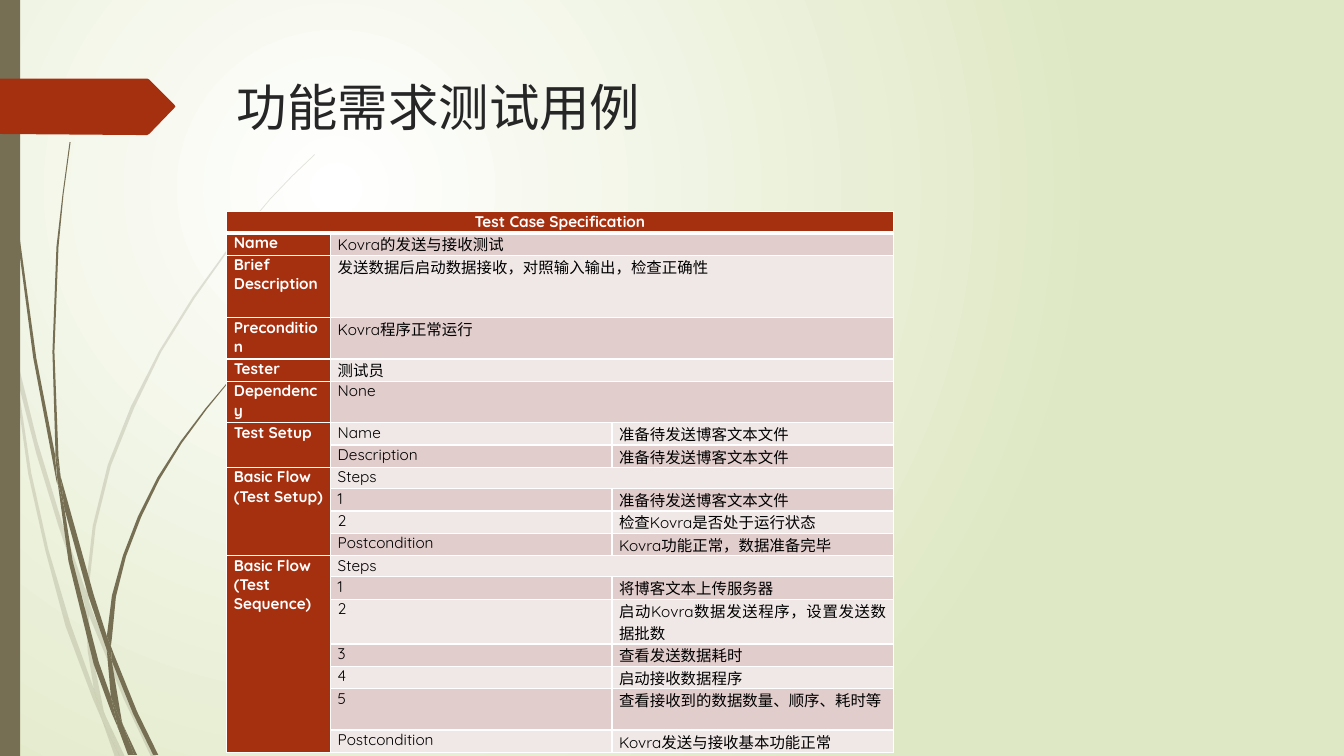
import pptx
import pptx.util
import pptx.dml.color
import pptx.enum.text
import pptx.oxml
import pptx.oxml.ns
import pptx.enum.shapes

Inches = pptx.util.Inches
Pt = pptx.util.Pt
RGB = pptx.dml.color.RGBColor
Align = pptx.enum.text.PP_ALIGN

WHITE = RGB(0xFF, 0xFF, 0xFF)
BLACK = RGB(0, 0, 0)
INK = RGB(0x26, 0x26, 0x26)
RED = RGB(0xA5, 0x30, 0x10)
OLIVE = RGB(0x76, 0x6F, 0x54)
GREEN = RGB(0xDF, 0xE8, 0xC4)
BANDS = (RGB(0xF0, 0xE8, 0xE7), RGB(0xE1, 0xCD, 0xCC))
FONT = "Quicksand"

# Grass outlines: x, y pairs in inches
PALE = (
    "0.11 3.5 0.09 3.22 0 2.82 0 2.99 0.1 3.44",
    "0.58 5.22 0.84 5.99 0.85 5.86 0.62 5.2 0.37 4.38 0.14 3.45 0.17 3.76 0.36 4.5",
    "0.92 6.07 0.88 5.96 0.88 6.1 1.23 6.94 1.5 7.51 1.55 7.51 1.27 6.92",
    "1.19 7.51 1.24 7.51 1.05 7.11",
    "0.93 6.83 0.7 6.19 0.48 5.45 0.31 4.69 0.17 3.76 0.11 3.5 0.28 4.7 0.45 5.46"
    " 0.65 6.21 0.92 6.93 1.01 7.14 0.99 7.07",
    "0.84 5.99 0.87 6.46 0.93 6.83 0.96 6.92 1.05 7.11 1.03 7.06 0.91 6.46 0.88 6.1 0.88 6.08",
    "0.88 5.84 0.95 5.22 1.1 4.62 1.33 4.05 1.6 3.49 1.93 2.96 2.29 2.45 2.68 1.98 2.9 1.75"
    " 3.12 1.54 3.12 1.53 2.89 1.75 2.68 1.97 2.28 2.44 1.91 2.95 1.58 3.48 1.3 4.03"
    " 1.07 4.61 0.92 5.22 0.85 5.84 0.85 5.86 0.88 5.96",
    "1.01 7.14 1.14 7.51 1.19 7.51",
    "0.88 6.08 0.88 6.1 0.88 5.96 0.85 5.86 0.84 5.99",
    "0.96 6.92 0.93 6.83 0.99 7.07 1.01 7.14 1.19 7.51 1.05 7.11",
)
DARK = (
    "0.07 1.1 0.17 2.33 0.33 3.55 0.56 4.77 0.57 4.81 0.55 4.57 0.55 4.53 0.36 3.55"
    " 0.19 2.32 0.08 1.09 0.05 0.48 0.04 0 0.03 0 0.04 0.48",
    "0.88 5.92 1.06 6.45 1.06 6.33 1.06 6.31 0.93 5.9 0.6 4.72 0.64 5.05",
    "1.13 6.49 1.1 6.41 1.11 6.56 1.32 7.08 1.52 7.49 1.57 7.49 1.36 7.06",
    "1.1 6.91 0.98 6.57 0.72 5.56 0.64 5.05 0.57 4.77 0.68 5.57 0.93 6.59 1.11 7.08"
    " 1.17 7.22 1.16 7.17",
    "0.6 4.72 0.58 4.53 0.54 3.49 0.58 2.45 0.63 1.93 0.7 1.41 0.69 1.41 0.62 1.93"
    " 0.56 2.45 0.52 3.49 0.55 4.49",
    "1.33 7.49 1.36 7.49 1.22 7.19",
    "0.57 4.77 0.64 5.05 0.6 4.72 0.55 4.49 0.55 4.53",
    "1.11 6.33 1.15 5.92 1.25 5.52 1.4 5.13 1.58 4.76 1.8 4.4 2.05 4.06 2.31 3.74 2.45 3.59"
    " 2.61 3.44 2.6 3.44 2.45 3.58 2.31 3.73 2.04 4.05 1.79 4.38 1.56 4.74 1.37 5.12"
    " 1.22 5.51 1.11 5.91 1.06 6.31 1.1 6.41",
    "1.17 7.22 1.27 7.49 1.31 7.49",
    "1.06 6.45 1.1 6.91 1.16 7.06 1.22 7.19 1.21 7.16 1.11 6.56 1.09 6.51",
    "1.06 6.45 1.09 6.51 1.11 6.56 1.1 6.41 1.06 6.31 1.06 6.33",
    "1.16 7.06 1.1 6.91 1.16 7.17 1.17 7.22 1.3 7.49 1.33 7.49 1.22 7.19",
)
ARROW = "1.74 1.06 1.48 1.33 1.46 1.34 1.36 1.34 0 1.33 0 0.78 1.46 0.78 1.48 0.79 1.73 1.04"

# Table rows: height, label, middle, right; None joins a cell to its neighbour
LOW, MID, HIGH = 0.21, 0.41, 0.62
ROWS = (
    (LOW, "Test Case Specification", None, None),
    (LOW, "Name", "Kovra的发送与接收测试", None),
    (HIGH, "Brief Description", "发送数据后启动数据接收，对照输入输出，检查正确性", None),
    (MID, "Precondition", "Kovra程序正常运行", None),
    (LOW, "Tester", "测试员", None),
    (MID, "Dependency", "None", None),
    (LOW, "Test Setup", "Name", "准备待发送博客文本文件"),
    (LOW, None, "Description", "准备待发送博客文本文件"),
    (LOW, "Basic Flow\n(Test Setup)", "Steps", None),
    (LOW, None, "1", "准备待发送博客文本文件"),
    (LOW, None, "2", "检查Kovra是否处于运行状态"),
    (LOW, None, "Postcondition", "Kovra功能正常，数据准备完毕"),
    (LOW, "Basic Flow\n(Test Sequence)", "Steps", None),
    (LOW, None, "1", "将博客文本上传服务器"),
    (MID, None, "2", "启动Kovra数据发送程序，设置发送数据批数"),
    (LOW, None, "3", "查看发送数据耗时"),
    (LOW, None, "4", "启动接收数据程序"),
    (MID, None, "5", "查看接收到的数据数量、顺序、耗时等"),
    (LOW, None, "Postcondition", "Kovra发送与接收基本功能正常"),
)


def write(frame, text, size=11, color=BLACK, bold=False, align=Align.JUSTIFY):
    for i, line in enumerate(text.split("\n")):
        para = frame.add_paragraph() if i else frame.paragraphs[0]
        para.alignment = align
        run = para.add_run()
        run.text = line
        run.font.name, run.font.size = FONT, Pt(size)
        run.font.bold, run.font.color.rgb = bold, color


class Page:
    def __init__(self, deck):
        self.slide = deck.slides.add_slide(deck.slide_layouts[5])
        self.shapes = self.slide.shapes

    def backdrop(self, inner, outer):
        fill = self.slide.background.fill
        fill.gradient()
        for stop, color in zip(fill.gradient_stops, (inner, outer)):
            stop.color.rgb = color
        line = self.slide.element.find(".//" + pptx.oxml.ns.qn("a:lin"))
        line.getparent().replace(line, pptx.oxml.parse_xml(
            f'<a:path {pptx.oxml.ns.nsdecls("a")} path="circle">'
            '<a:fillToRect l="50000" t="50000" r="100000" b="100000"/></a:path>'))

    def paint(self, shape, color, alpha=100):
        shape.shadow.inherit = False
        shape.fill.solid()
        shape.fill.fore_color.rgb = color
        shape.line.fill.background()
        if alpha < 100:
            tint = shape.element.spPr.find(".//" + pptx.oxml.ns.qn("a:srgbClr"))
            tint.append(pptx.oxml.parse_xml(
                f'<a:alpha {pptx.oxml.ns.nsdecls("a")} val="{alpha * 1000}"/>'))

    def outline(self, home, data, color, alpha=100):
        nums = [Inches(float(n)) for n in data.split()]
        dots = list(zip(nums[::2], nums[1::2]))
        pen = home.build_freeform(*dots[0], scale=1.0)
        pen.add_line_segments(dots[1:], close=True)
        self.paint(pen.convert_to_shape(), color, alpha)

    def grass(self, blades, alpha=100):
        group = self.shapes.add_group_shape()
        for blade in blades:
            self.outline(group.shapes, blade, OLIVE, alpha)

    def bar(self, x, y, w, h, color):
        kind = pptx.enum.shapes.MSO_SHAPE.RECTANGLE
        box = self.shapes.add_shape(kind, Inches(x), Inches(y), Inches(w), Inches(h))
        self.paint(box, color)

    def title(self, text, x, y, w, h):
        box = self.shapes.title
        box.left, box.top, box.width, box.height = map(Inches, (x, y, w, h))
        box.text_frame.vertical_anchor = pptx.enum.text.MSO_ANCHOR.TOP
        write(box.text_frame, text, size=36, color=INK, align=Align.LEFT)

    def cell(self, cell, fill, base):
        cell.margin_left = cell.margin_right = Inches(0.07)
        cell.margin_top = cell.margin_bottom = 0
        cell.fill.solid()
        cell.fill.fore_color.rgb = fill
        props = cell._tc.get_or_add_tcPr()
        for i, side in enumerate("LRTB"):
            width = Pt(base if side == "B" else 1)
            props.insert(i, pptx.oxml.parse_xml(
                f'<a:ln{side} {pptx.oxml.ns.nsdecls("a")} w="{width}"><a:solidFill>'
                f'<a:srgbClr val="{WHITE}"/></a:solidFill></a:ln{side}>'))

    def table(self, rows, x, y, widths):
        high = sum(row[0] for row in rows)
        grid = self.shapes.add_table(len(rows), len(widths), Inches(x), Inches(y),
                                     Inches(sum(widths)), Inches(high)).table
        for col, width in zip(grid.columns, widths):
            col.width = Inches(width)
        for r, (height, *texts) in enumerate(rows):
            grid.rows[r].height = Inches(height)
            for c, text in enumerate(texts):
                cell = grid.cell(r, c)
                head = r == 0 or c == 0
                self.cell(cell, RED if head else BANDS[r % 2], 1 if r else 3)
                if text:
                    write(cell.text_frame, text, color=WHITE if head else BLACK, bold=head,
                          align=Align.JUSTIFY if r else Align.CENTER)
        self.join(grid, rows)

    def join(self, grid, rows):
        grid.cell(0, 0).merge(grid.cell(0, 2))
        for r, (_, label, _, right) in enumerate(rows[1:], 1):
            if right is None:
                grid.cell(r, 1).merge(grid.cell(r, 2))
            last = r
            while label and last + 1 < len(rows) and rows[last + 1][1] is None:
                last += 1
            if last > r:
                grid.cell(r, 0).merge(grid.cell(last, 0))


deck = pptx.Presentation()
deck.slide_width, deck.slide_height = Inches(13.33), Inches(7.5)
page = Page(deck)

# Background and side decoration
page.backdrop(WHITE, GREEN)
page.grass(PALE, alpha=20)
page.grass(DARK)
page.bar(0, 0, 0.2, 7.5, OLIVE)
page.outline(page.shapes, ARROW, RED)

# Title and test case table
page.title("功能需求测试用例", 2.25, 0.7, 9.75, 1.4)
page.table(ROWS, 2.25, 2.1, (1.03, 2.79, 2.79))

deck.save("out.pptx")
